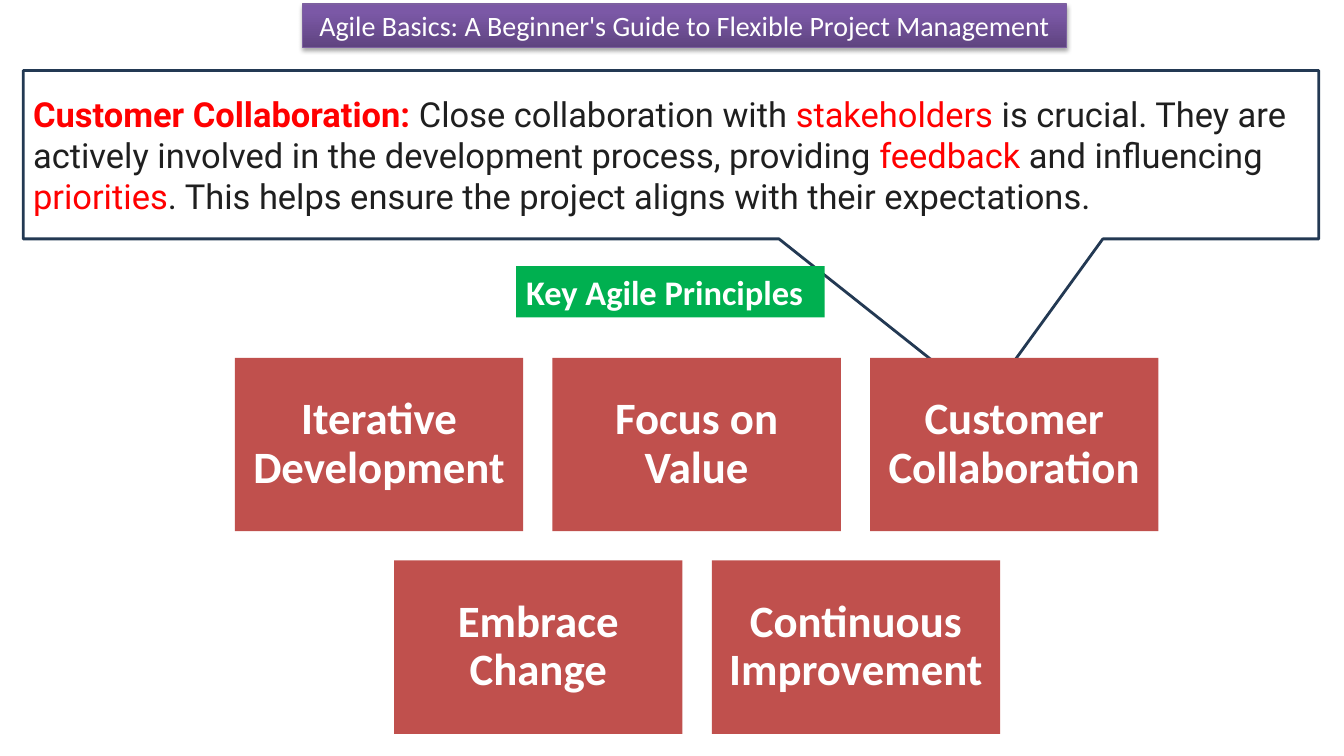
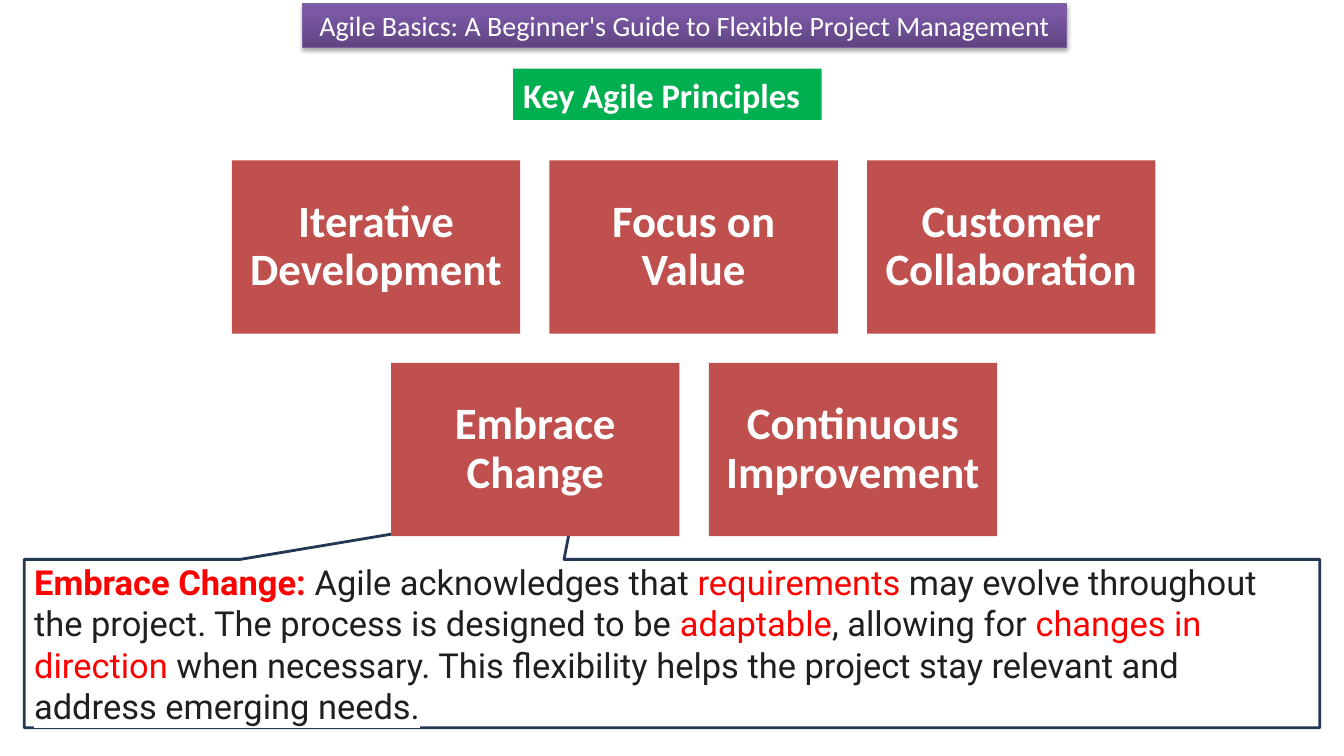
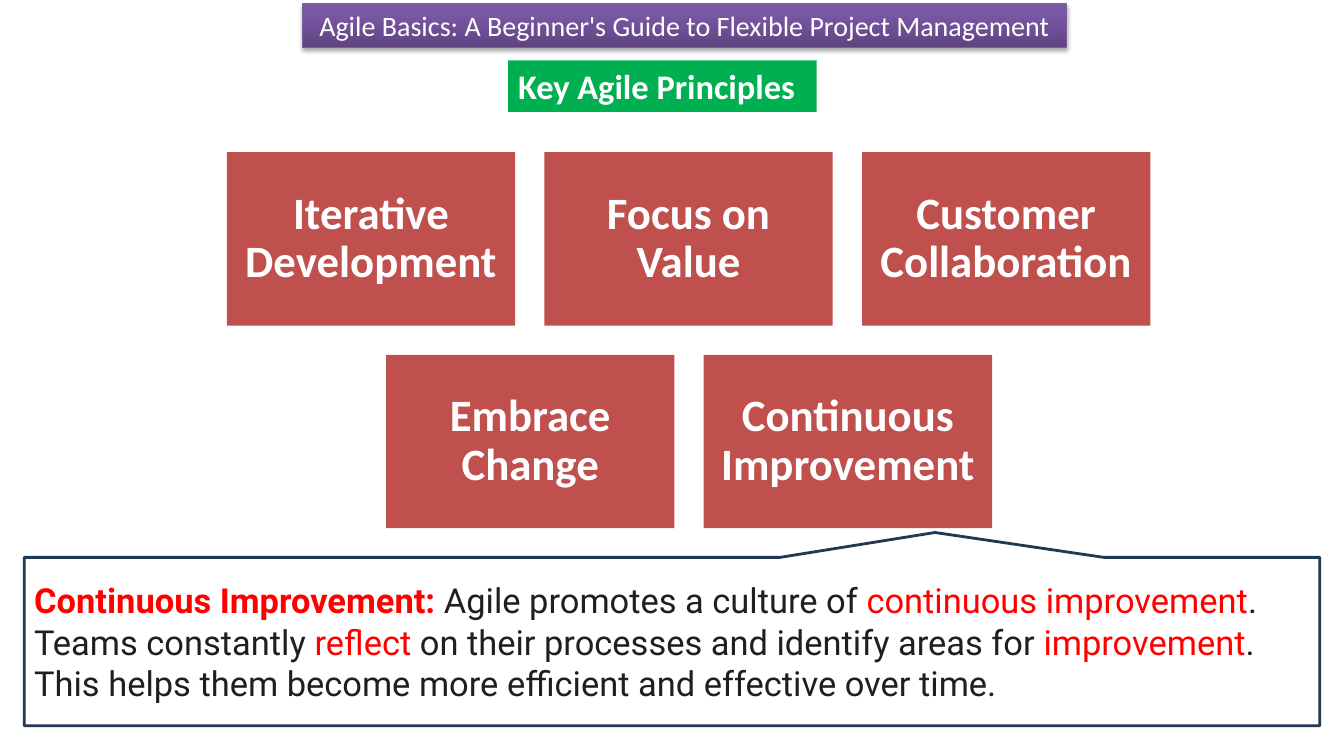
"""Build three slides that explain the key Agile principles one by one."""
from copy import deepcopy
from typing import NamedTuple

from lxml.etree import SubElement
from pptx import Presentation
from pptx.dml.color import RGBColor
from pptx.enum.shapes import MSO_SHAPE
from pptx.enum.text import MSO_ANCHOR, PP_ALIGN
from pptx.oxml.ns import qn
from pptx.shapes.autoshape import Shape
from pptx.slide import Slide
from pptx.util import Emu, Pt

EMU_PER_PX = 9144
WHITE, RED, INK = "FFFFFF", "FF0000", "1F1F1F"
CARD_RED, BADGE_GREEN, CALLOUT_NAVY = "C0504D", "00B050", "233953"
BANNER_EDGE = "7D60A0"
BANNER_STOPS = ((0, "5F4480"), (0.8, "7B58A6"), (1, "7C57A8"))
BODY_SIZE = 24.6
COURSE = "Agile Basics: A Beginner's Guide to Flexible Project Management"
PRINCIPLE_ROWS = (
    (0, ("Iterative Development", "Focus on Value", "Customer Collaboration")),
    (158, ("Embrace Change", "Continuous Improvement")),
)
CARD_WIDTH, CARD_HEIGHT = 286, 172
COLUMN_STEP, ROW_STEP = 315, 201


class Box(NamedTuple):
    left: int
    top: int
    width: int
    height: int


class Principle(NamedTuple):
    heading: str
    body: str
    callout: Box
    pointer: tuple[float, float]
    cards_left: int
    cards_top: int


PRINCIPLES = (
    Principle(
        "Customer Collaboration:",
        " Close collaboration with |stakeholders| is crucial. They are actively involved "
        "in the development process, providing |feedback| and influencing |priorities|. "
        "This helps ensure the project aligns with their expectations.",
        Box(23, 70, 1285, 167), (0.242, 1.469), 233, 355,
    ),
    Principle(
        "Embrace Change:",
        " Agile acknowledges that |requirements| may evolve throughout the project. "
        "The process is designed to be |adaptable|, allowing for |changes in direction |"
        "when necessary. This flexibility helps the project stay relevant and address "
        "emerging needs.",
        Box(24, 555, 1285, 167), (-0.075, -0.832), 230, 159,
    ),
    Principle(
        "Continuous Improvement:",
        " Agile promotes a culture of |continuous improvement|. Teams constantly "
        "|reflect| on their processes and identify areas for |improvement|. "
        "This helps them become more efficient and effective over time.",
        Box(24, 553, 1285, 167), (0.203, -0.648), 225, 151,
    ),
)


def px(length: int) -> Emu:
    """Turn px into EMU."""
    return Emu(length * EMU_PER_PX)


def rgb(code: str) -> RGBColor:
    """Turn a hex string into a colour."""
    return RGBColor.from_string(code)


def add_panel(slide: Slide, box: Box, fill: str, kind: MSO_SHAPE = MSO_SHAPE.RECTANGLE) -> Shape:
    """Add a flat shape without outline or shadow."""
    panel = slide.shapes.add_shape(kind, *map(px, box))
    panel.shadow.inherit = False
    panel.fill.solid()
    panel.fill.fore_color.rgb = rgb(fill)
    panel.line.fill.background()
    return panel


def write_label(panel: Shape, text: str, size: float, bold: bool, align: PP_ALIGN) -> None:
    """Write one white paragraph in a panel."""
    frame = panel.text_frame
    frame.word_wrap = True
    frame.vertical_anchor = MSO_ANCHOR.MIDDLE
    paragraph = frame.paragraphs[0]
    paragraph.text = text
    paragraph.alignment = align
    font = paragraph.font
    font.name, font.size, font.bold = "Calibri", Pt(size), bold
    font.color.rgb = rgb(WHITE)


def add_banner(slide: Slide) -> None:
    """Add the purple course title with its gradient and shadow."""
    banner = add_panel(slide, Box(300, 4, 758, 43), BANNER_EDGE)
    banner.line.color.rgb = rgb(BANNER_EDGE)
    banner.line.width = Pt(0.75)
    banner.fill.gradient()
    banner.fill.gradient_angle = 90
    properties = banner.element.spPr
    stop_list = properties.find(".//" + qn("a:gsLst"))
    stop_list.append(deepcopy(stop_list[0]))
    for stop, (position, color) in zip(banner.fill.gradient_stops, BANNER_STOPS):
        stop.position = position
        stop.color.rgb = rgb(color)
    shadow = SubElement(
        properties.find(qn("a:effectLst")), qn("a:outerShdw"),
        blurRad="40000", dist="23000", dir="5400000", rotWithShape="0",
    )
    shade = SubElement(shadow, qn("a:srgbClr"), val="000000")
    SubElement(shade, qn("a:alpha"), val="35000")
    write_label(banner, COURSE, 20, False, PP_ALIGN.CENTER)


def add_callout(slide: Slide, principle: Principle) -> None:
    """Add the explanation with its key words in red."""
    callout = add_panel(slide, principle.callout, WHITE, MSO_SHAPE.RECTANGULAR_CALLOUT)
    callout.adjustments[0], callout.adjustments[1] = principle.pointer
    callout.line.color.rgb = rgb(CALLOUT_NAVY)
    callout.line.width = Pt(2)
    frame = callout.text_frame
    frame.word_wrap = True
    frame.vertical_anchor = MSO_ANCHOR.MIDDLE
    paragraph = frame.paragraphs[0]
    paragraph.alignment = PP_ALIGN.LEFT
    paragraph.font.name, paragraph.font.size = "Roboto", Pt(BODY_SIZE)
    for index, words in enumerate((principle.heading, *principle.body.split("|"))):
        run = paragraph.add_run()
        run.text = words
        run.font.bold = index == 0
        run.font.color.rgb = rgb(INK if index % 2 else RED)
        highlight = SubElement(run.font._element, qn("a:highlight"))
        SubElement(highlight, qn("a:srgbClr"), val=WHITE)


def add_principle_cards(slide: Slide, left: int, top: int) -> None:
    """Add the green badge and the two rows of cards."""
    badge = add_panel(slide, Box(left + 279, top - 91, 306, 51), BADGE_GREEN)
    write_label(badge, "Key Agile Principles", BODY_SIZE, True, PP_ALIGN.LEFT)
    for row, (indent, names) in enumerate(PRINCIPLE_ROWS):
        for column, name in enumerate(names):
            place = Box(left + indent + column * COLUMN_STEP, top + row * ROW_STEP,
                        CARD_WIDTH, CARD_HEIGHT)
            card = add_panel(slide, place, CARD_RED)
            write_label(card, name, 32, True, PP_ALIGN.CENTER)
            frame = card.text_frame
            frame.margin_left = frame.margin_right = px(13)
            frame.margin_top = frame.margin_bottom = px(13)
            frame.paragraphs[0].line_spacing = 0.9


def main() -> None:
    """Build and save the presentation."""
    deck = Presentation()
    deck.slide_width, deck.slide_height = px(1333), px(750)
    for principle in PRINCIPLES:
        slide = deck.slides.add_slide(deck.slide_layouts[6])
        add_banner(slide)
        add_callout(slide, principle)
        add_principle_cards(slide, principle.cards_left, principle.cards_top)
    deck.save("out.pptx")


if __name__ == "__main__":
    main()
